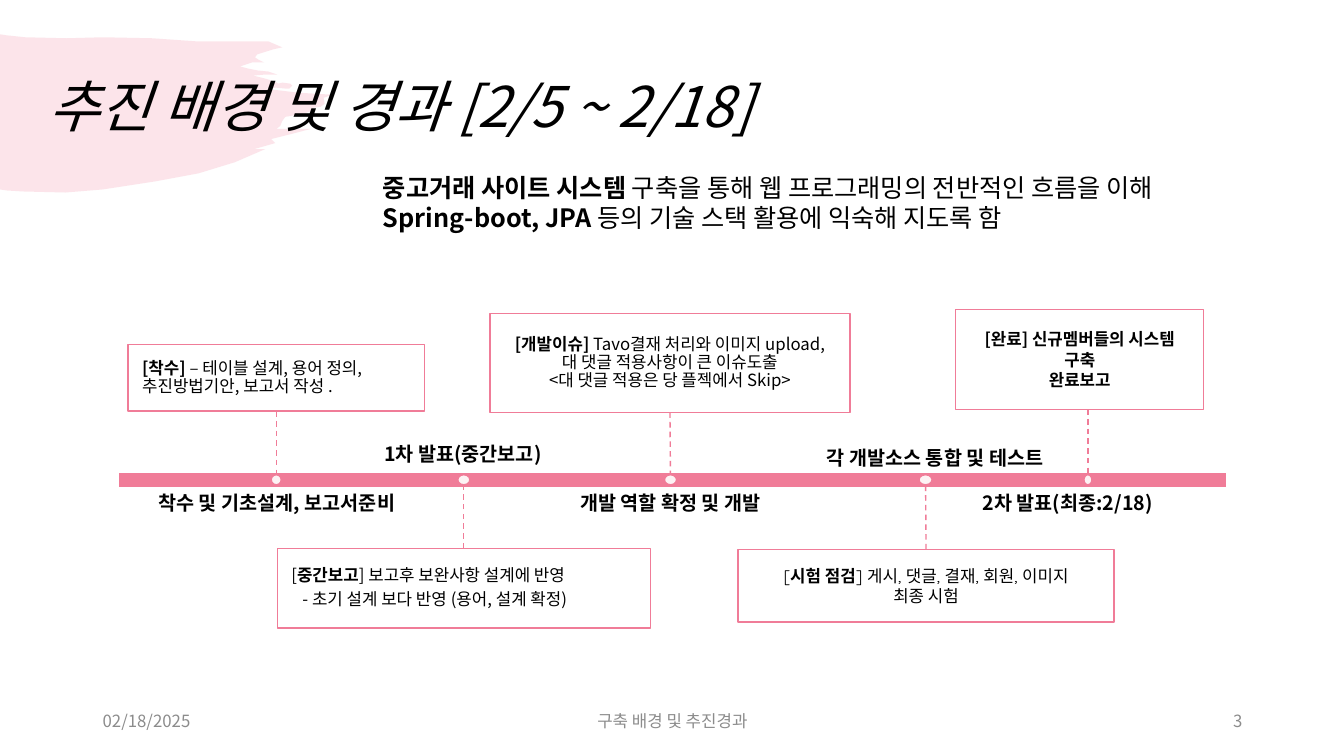
"""Build a project timeline slide."""
import pptx
import pptx.dml.color
import pptx.enum.dml
import pptx.enum.shapes
import pptx.enum.text
import pptx.oxml.ns
import pptx.util

Inches, Pt = pptx.util.Inches, pptx.util.Pt
qn = pptx.oxml.ns.qn
Shape = pptx.enum.shapes.MSO_SHAPE
Align = pptx.enum.text.PP_ALIGN
Anchor = pptx.enum.text.MSO_ANCHOR
PINK, WHITE, BLACK, GREY = "F07C98", "FFFFFF", "000000", "8C8C8C"
FONT = "Noto Sans CJK KR"
BRUSH = [
    (0, 34), (6, 35), (25, 37), (66, 38), (102, 37), (151, 38), (194, 41),
    (248, 41), (266, 41), (280, 47), (271, 49), (255, 54), (253, 57),
    (256, 59), (262, 62), (250, 62), (238, 66), (246, 68), (256, 70),
    (266, 71), (275, 74), (263, 74), (251, 75), (263, 78), (273, 81),
    (276, 83), (280, 82), (288, 83), (290, 85), (287, 88), (284, 88),
    (274, 87), (263, 88), (296, 92), (330, 94), (321, 97), (322, 103),
    (318, 106), (311, 107), (307, 111), (300, 113), (283, 116), (280, 120),
    (278, 125), (274, 128), (308, 128), (289, 133), (269, 138), (273, 142),
    (252, 148), (263, 148), (233, 161), (197, 172), (154, 180), (102, 188),
    (65, 191), (23, 190), (7, 189), (0, 188)]


def color(text):
    return pptx.dml.color.RGBColor.from_string(text)


def apply(item, values):
    for name, value in values.items():
        setattr(item, name, value)


class Deck:
    """Hold the style and the current slide."""

    def __init__(self):
        self.prs = pptx.Presentation()
        apply(self.prs, {"slide_width": Inches(13.33), "slide_height": Inches(7.5)})
        self.slide = self.prs.slides.add_slide(self.prs.slide_layouts[5])
        self.shapes = self.slide.shapes

    def paint(self, shape, fill, line=None, alpha=None):
        shape.shadow.inherit = False
        shape.fill.solid()
        shape.fill.fore_color.rgb = color(fill)
        if alpha:
            tone = shape.element.spPr.find(qn("a:solidFill")).find(qn("a:srgbClr"))
            tone.append(tone.makeelement(qn("a:alpha"), {"val": str(alpha * 1000)}))
        if line:
            shape.line.color.rgb = color(line)
            shape.line.width = Pt(1)
        else:
            shape.line.fill.background()

    def label(self, shape, paras, size, align=Align.LEFT, anchor=Anchor.TOP,
              pad=(0.1, 0.05), tone=BLACK, font=FONT, italic=False, indent=0, **gaps):
        frame = shape.text_frame
        side, edge = Inches(pad[0]), Inches(pad[1])
        apply(frame, {"word_wrap": True, "vertical_anchor": anchor,
                      "margin_left": side, "margin_right": side,
                      "margin_top": edge, "margin_bottom": edge})
        for i, runs in enumerate(paras):
            para = frame.add_paragraph() if i else frame.paragraphs[0]
            apply(para, {"alignment": align, **gaps})
            if i and indent:
                para._p.get_or_add_pPr().set("marL", str(Inches(indent)))
            for text, bold in runs:
                run = para.add_run()
                run.text = text
                apply(run.font, {"size": Pt(size), "bold": bold,
                                 "italic": italic, "name": font})
                run.font.color.rgb = color(tone)
                props = run._r.get_or_add_rPr()
                east = props.makeelement(qn("a:ea"), {"typeface": FONT})
                props.find(qn("a:latin")).addnext(east)

    def title(self, text, spot):
        shape = self.shapes.title
        names = ("left", "top", "width", "height")
        apply(shape, dict(zip(names, map(Inches, spot))))
        self.label(shape, [[(text, False)]], 40, anchor=Anchor.MIDDLE,
                   italic=True, line_spacing=0.9)

    def brush(self, points):
        pen = self.shapes.build_freeform(*points[0], scale=Inches(0.01))
        pen.add_line_segments(points[1:], close=True)
        shape = pen.convert_to_shape()
        self.paint(shape, PINK, alpha=20)
        shape.element.getparent().insert(2, shape.element)

    def block(self, kind, spot, fill=WHITE, line=PINK, alpha=90):
        shape = self.shapes.add_shape(kind, *map(Inches, spot))
        self.paint(shape, fill, line, alpha)
        return shape

    def text(self, spot, paras, size, **style):
        shape = self.shapes.add_textbox(*map(Inches, spot))
        self.label(shape, paras, size, **style)

    def link(self, x, start, end, box=None, site=0):
        line = self.shapes.add_connector(
            pptx.enum.shapes.MSO_CONNECTOR.STRAIGHT,
            *map(Inches, (x, start, x, end)))
        line.line.color.rgb = color(PINK)
        apply(line.line, {"width": Pt(1),
                          "dash_style": pptx.enum.dml.MSO_LINE.DASH})
        props = line.element.spPr
        props.append(props.makeelement(qn("a:effectLst"), {}))
        if box is not None:
            line.begin_connect(box, site)


def main():
    deck = Deck()
    deck.brush(BRUSH)
    deck.title("추진 배경 및 경과 [2/5 ~ 2/18]", (0.38, 0.36, 11.5, 1.45))
    deck.block(Shape.RECTANGLE, (1.17, 4.69, 11, 0.15), PINK, WHITE, None)

    mid = {"align": Align.CENTER}
    tight = {"line_spacing": 0.9}
    steps = [
        (2.74, (1.27, 3.42, 2.94, 0.66), 0.1,
         [[("[착수] ", True), ("– 테이블 설계, 용어 정의, 추진방법기안, 보고서 작성 .", False)]], tight),
        (4.6, (2.75, 5.44, 3.7, 0.79), 0.12,
         [[("[", False), ("중간보고", True), ("] 보고후 보완사항 설계에 반영", False)],
          [("- 초기 설계 보다 반영 (용어, 설계 확정)", False)]],
         {"indent": 0.11, "space_after": Pt(4), **tight}),
        (6.65, (4.86, 3.11, 3.57, 0.98), 0.12,
         [[("[개발이슈] ", True), ("Tavo결재 처리와 이미지 upload,", False)],
          [("대 댓글 적용사항이 큰 이슈도출", False)],
          [("<대 댓글 적용은 당 플젝에서 Skip>", False)]], {**mid, **tight}),
        (9.18, (7.32, 5.45, 3.73, 0.72), 0.13,
         [[("[", False), ("시험 점검", True), ("] 게시, 댓글, 결재, 회원, 이미지", False)],
          [("최종 시험", False)]], {"font": "Quicksand", **mid}),
        (10.79, (9.48, 3.07, 2.46, 0.99), 0.08,
         [[("[완료] 신규멤버들의 시스템 구축", True)], [("완료보고", True)]], mid)]
    for x, spot, dot, paras, style in steps:
        left, top, width, height = spot
        box = deck.block(Shape.RECTANGLE, spot)
        deck.label(box, paras, 12, anchor=Anchor.MIDDLE, pad=(0.14, 0.04), **style)
        above = top < 4.69
        start = top + height if above else top
        near = abs(x - left - width / 2) < 0.02
        deck.link(x, start, 4.76, box if near else None, 2 if above else 0)
        deck.block(Shape.OVAL, (x - dot / 2, 4.71, dot, 0.1))

    labels = [
        (1.17, 4.9, 3.15, "착수 및 기초설계, 보고서준비"),
        (3.33, 4.2, 2.52, "1차 발표(중간보고)"),
        (5.39, 4.9, 2.52, "개발 역할 확정 및 개발"),
        (7.85, 4.24, 2.85, "각 개발소스 통합 및 테스트"),
        (9.33, 4.9, 2.52, "2차 발표(최종:2/18)")]
    for left, top, width, text in labels:
        anchor = Anchor.BOTTOM if top < 4.69 else Anchor.TOP
        deck.text((left, top, width, 0.42), [[(text, True)]], 14, anchor=anchor,
                  pad=(0, 0), space_after=Pt(5), **mid, **tight)

    feet = [(0.92, 3, "02/18/2025", Align.LEFT),
            (4.42, 4.5, "구축 배경 및 추진경과", Align.CENTER),
            (9.42, 3, "3", Align.RIGHT)]
    for left, width, text, align in feet:
        deck.text((left, 6.95, width, 0.4), [[(text, False)]], 12,
                  align=align, anchor=Anchor.MIDDLE, tone=GREY)

    deck.text((3.7, 1.66, 9.14, 0.72), [
        [("중고거래 사이트 시스템 ", True), ("구축을 통해 웹 프로그래밍의 전반적인 흐름을 이해", False)],
        [("Spring-boot, JPA ", True), ("등의 기술 스택 활용에 익숙해 지도록 함", False)]], 18)
    deck.prs.save("out.pptx")


if __name__ == "__main__":
    main()
